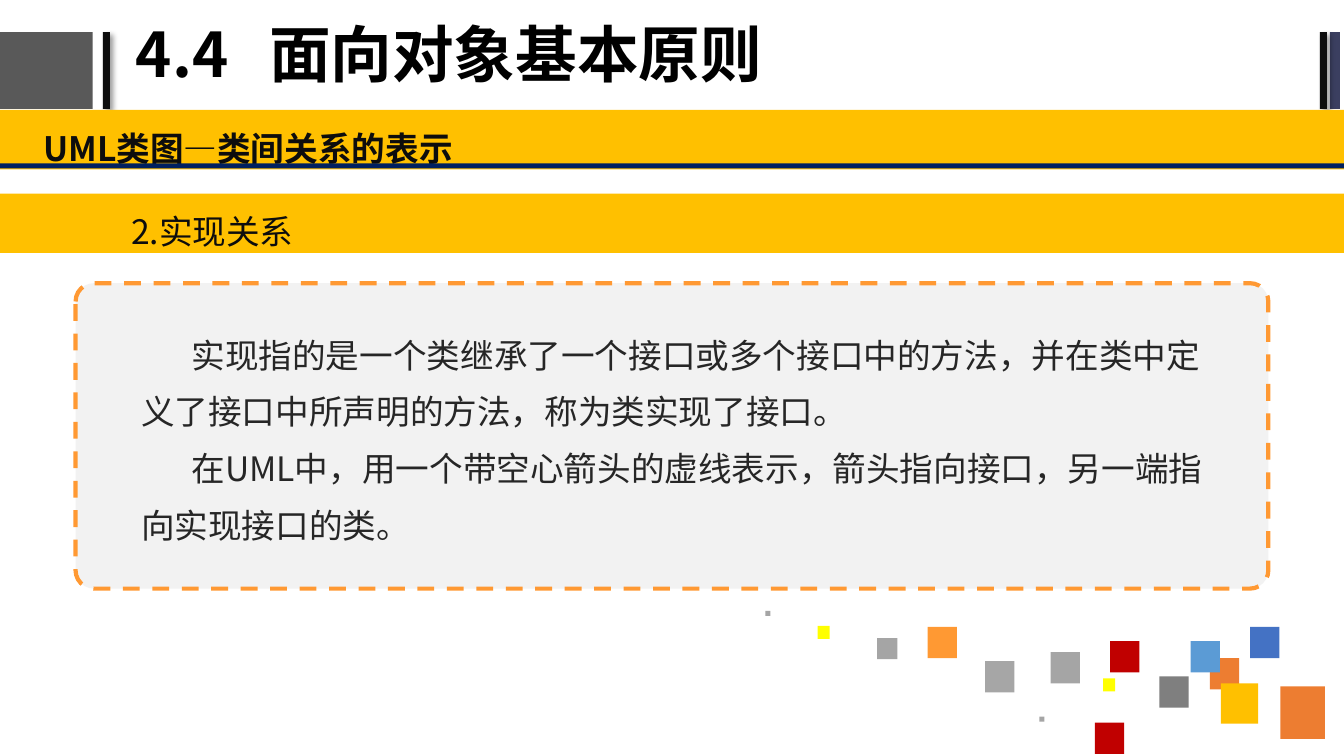
import pptx
import pptx.dml.color
import pptx.enum.dml
import pptx.enum.shapes
import pptx.enum.text
import pptx.oxml
import pptx.oxml.ns
import pptx.util
from lxml import etree

RGBColor = pptx.dml.color.RGBColor
SHAPE = pptx.enum.shapes.MSO_SHAPE
ANCHOR = pptx.enum.text.MSO_ANCHOR
qn = pptx.oxml.ns.qn

PX = 9144
FONT = "Noto Sans CJK SC"
BLACK = RGBColor(0x00, 0x00, 0x00)
INK = RGBColor(0x0D, 0x0D, 0x0D)
BODY_INK = RGBColor(0x26, 0x26, 0x26)
DARK_GRAY = RGBColor(0x59, 0x59, 0x59)
SLATE = RGBColor(0x3B, 0x3F, 0x60)
NAVY = RGBColor(0x00, 0x20, 0x60)
PANEL = RGBColor(0xF2, 0xF2, 0xF2)
GOLD = RGBColor(0xFF, 0xC0, 0x00)
ORANGE = RGBColor(0xFF, 0x99, 0x33)
RUST = RGBColor(0xED, 0x7D, 0x31)
SKY = RGBColor(0x5B, 0x9B, 0xD5)
BLUE = RGBColor(0x44, 0x72, 0xC4)
YELLOW = RGBColor(0xFF, 0xFF, 0x00)
RED = RGBColor(0xC0, 0x00, 0x00)
GRAY = RGBColor(0xA5, 0xA5, 0xA5)
SOFT_GRAY = RGBColor(0xA6, 0xA6, 0xA6)
MID_GRAY = RGBColor(0x7F, 0x7F, 0x7F)

DOT, SMALL, MEDIUM = (5, 5), (12, 13), (20, 21)
TILE, LARGE, HUGE = (29, 31), (37, 40), (44, 52)
MOSAIC = [
    (1270, 681, HUGE, RUST),
    (1200, 653, TILE, RUST),
    (1211, 678, LARGE, GOLD),
    (1181, 636, TILE, SKY),
    (1031, 711, DOT, GRAY),
    (1240, 622, TILE, BLUE),
    (1094, 673, SMALL, YELLOW),
    (1042, 647, TILE, GRAY),
    (1101, 636, TILE, RED),
    (1150, 671, TILE, MID_GRAY),
    (1086, 717, TILE, RED),
    (759, 606, DOT, GRAY),
    (811, 621, SMALL, YELLOW),
    (870, 633, MEDIUM, GRAY),
    (920, 622, TILE, ORANGE),
    (977, 656, TILE, SOFT_GRAY),
]
SHADOW = (
    '<a:outerShdw xmlns:a="http://schemas.openxmlformats.org/drawingml/2006/main" '
    'blurRad="50800" dist="38100" dir="2700000" algn="tl" rotWithShape="0">'
    '<a:srgbClr val="000000"><a:alpha val="40000"/></a:srgbClr></a:outerShdw>'
)


def add_block(slide, left, top, width, height, color, kind=SHAPE.RECTANGLE):
    shape = slide.shapes.add_shape(kind, left * PX, top * PX, width * PX, height * PX)
    shape.shadow.inherit = False
    shape.fill.solid()
    shape.fill.fore_color.rgb = color
    shape.line.fill.background()
    return shape


def add_shadowed_bar(slide, left):
    bar = add_block(slide, left, 32, 7, 76, INK)
    effects = bar._element.spPr.find(qn("a:effectLst"))
    effects.append(pptx.oxml.parse_xml(SHADOW))


def add_panel(slide):
    panel = add_block(slide, 75, 281, 1183, 303, PANEL, SHAPE.ROUNDED_RECTANGLE)
    panel.adjustments[0] = 0.06
    panel.line.color.rgb = ORANGE
    panel.line.width = pptx.util.Pt(3)
    panel.line.dash_style = pptx.enum.dml.MSO_LINE.DASH


def add_text(slide, left, top, width, height, lines, color, spacing, size=24,
             bold=False, inset=(13, 7), anchor=ANCHOR.TOP, indent=0, tab=0):
    box = slide.shapes.add_textbox(left * PX, top * PX, width * PX, height * PX)
    frame = box.text_frame
    frame.word_wrap = True
    frame.vertical_anchor = anchor
    frame.margin_left = frame.margin_right = inset[0] * PX
    frame.margin_top = frame.margin_bottom = inset[1] * PX
    frame.text = "\n".join(lines)
    for paragraph in frame.paragraphs:
        properties = paragraph._p.get_or_add_pPr()
        if indent:
            properties.set("marL", "0")
            properties.set("indent", str(indent * PX))
        if tab:
            tabs = etree.SubElement(properties, qn("a:tabLst"))
            etree.SubElement(tabs, qn("a:tab"), pos=str(tab * PX), algn="l")
        paragraph.line_spacing = spacing
        paragraph.font.size = pptx.util.Pt(size)
        paragraph.font.bold = bold
        paragraph.font.color.rgb = color
        paragraph.font.name = FONT
        defaults = properties.find(qn("a:defRPr"))
        etree.SubElement(defaults, qn("a:ea"), typeface=FONT)


def main():
    presentation = pptx.Presentation()
    presentation.slide_width = 1333 * PX
    presentation.slide_height = 750 * PX
    slide = presentation.slides.add_slide(presentation.slide_layouts[6])

    add_block(slide, -2, 32, 94, 76, DARK_GRAY)
    add_shadowed_bar(slide, 102)
    add_block(slide, 1319, 32, 10, 76, SLATE)
    add_shadowed_bar(slide, 1309)
    add_text(slide, 125, 2, 847, 110, ["4.4\t面向对象基本原则"], BLACK, 0.9, size=44,
             bold=True, inset=(10, 5), anchor=ANCHOR.MIDDLE, tab=132)

    heading_spacing = pptx.util.Pt(36)
    add_block(slide, 0, 109, 1333, 59, GOLD)
    add_text(slide, 30, 110, 1303, 58, ["UML类图—类间关系的表示"], INK,
             heading_spacing, bold=True)
    add_block(slide, 0, 162, 1333, 5, NAVY)

    add_panel(slide)
    add_text(slide, 127, 309, 1098, 283, [
        "实现指的是一个类继承了一个接口或多个接口中的方法，并在类中定义了接口中所声明的方法，称为类实现了接口。",
        "在UML中，用一个带空心箭头的虚线表示，箭头指向接口，另一端指向实现接口的类。",
    ], BODY_INK, pptx.util.Pt(40.4), indent=50)

    add_block(slide, 0, 192, 1333, 59, GOLD)
    add_text(slide, 117, 192, 1019, 58, ["2.实现关系"], INK, heading_spacing)

    for left, top, (width, height), color in MOSAIC:
        add_block(slide, left, top, width, height, color)

    presentation.save("out.pptx")


if __name__ == "__main__":
    main()
